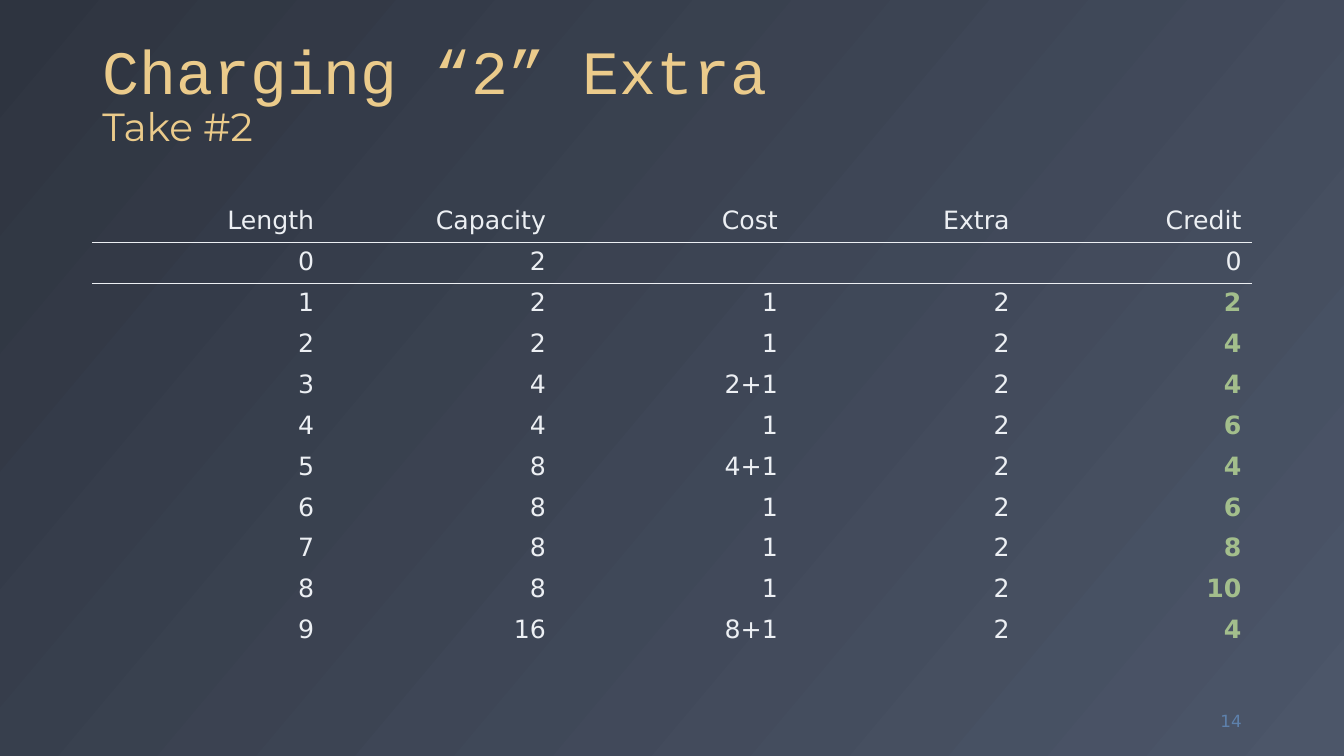
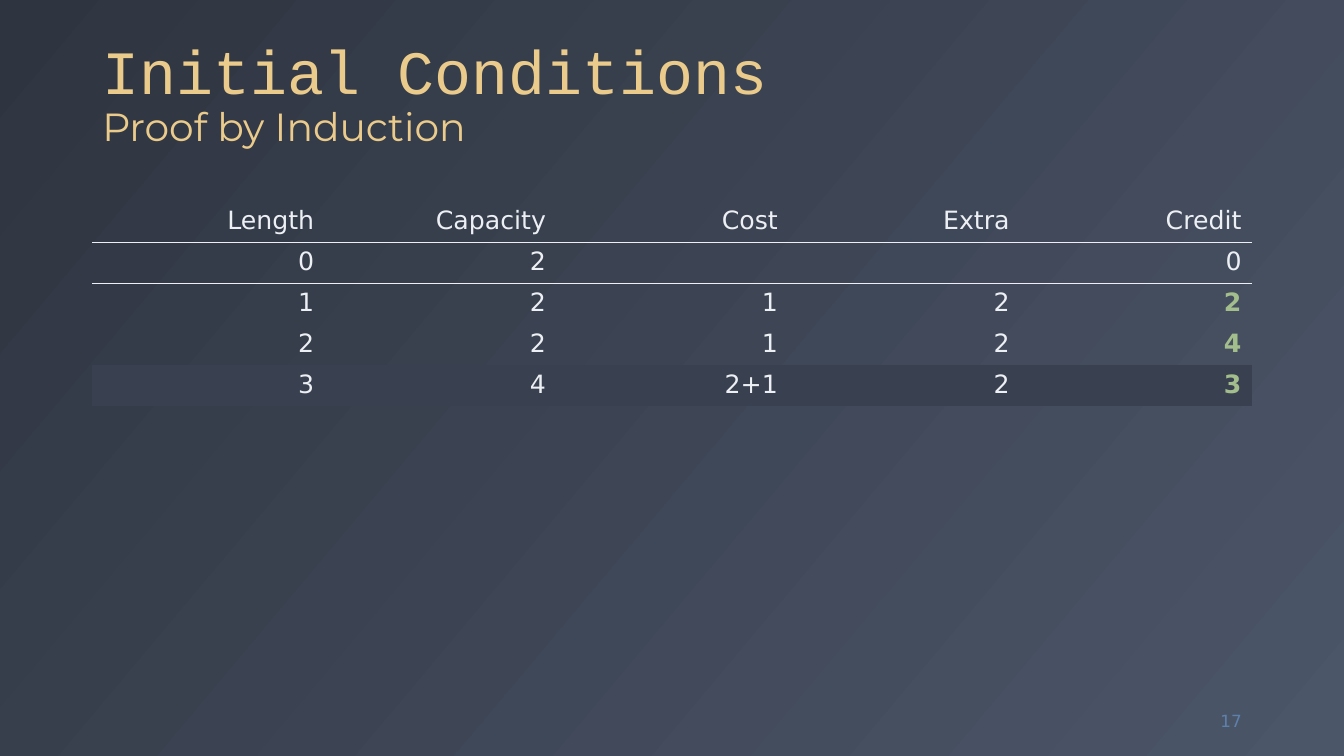
from dataclasses import dataclass

from lxml.etree import SubElement
from pptx import Presentation
from pptx.dml.color import RGBColor
from pptx.enum.text import MSO_ANCHOR, PP_ALIGN
from pptx.oxml.ns import qn
from pptx.util import Pt


@dataclass(frozen=True)
class Theme:
    bg_start: str = "2E3440"
    bg_end: str = "4C5669"
    title: str = "EBCB8B"
    text: str = "ECEFF3"
    credit: str = "A3BE8C"
    highlight: str = "39404F"
    number: str = "5E81AC"
    title_font: str = "Courier New"
    subtitle_font: str = "Montserrat"
    body_font: str = "DejaVu Sans"
    title_size: int = 44
    subtitle_size: int = 28
    body_size: int = 18
    number_size: int = 12


THEME = Theme()
NO_GRID_STYLE = "{2D5ABB26-0587-4C30-8999-92F81FD0307C}"
TABLE_ROWS = 11

# Regions: left, top, width, height in points
TITLE_BOX = (66, 13, 828, 98)
TABLE_BOX = (66, 144, 828, 321.2)
NUMBER_BOX = (834, 500, 60, 29)

HEADER = ("Length", "Capacity", "Cost", "Extra", "Credit")
OPERATIONS = [
    ("0", "2", "", "", "0"),
    ("1", "2", "1", "2", "2"),
    ("2", "2", "1", "2", "4"),
    ("3", "4", "2+1", "2", "4"),
    ("4", "4", "1", "2", "6"),
    ("5", "8", "4+1", "2", "4"),
    ("6", "8", "1", "2", "6"),
    ("7", "8", "1", "2", "8"),
    ("8", "8", "1", "2", "10"),
    ("9", "16", "8+1", "2", "4"),
]
INDUCTION_STEP = ("3", "4", "2+1", "2", "3")


def style_run(r, font, size, color, bold=False):
    r.font.name = font
    r.font.size = Pt(size)
    r.font.bold = bold
    r.font.color.rgb = RGBColor.from_string(color)


def add_text(s, box, text, anchor, align=PP_ALIGN.LEFT):
    tf = s.shapes.add_textbox(*map(Pt, box)).text_frame
    tf.word_wrap = True
    tf.vertical_anchor = anchor
    p = tf.paragraphs[0]
    p.text = text
    p.alignment = align
    return p


def add_background(s):
    fill = s.background.fill
    fill.gradient()
    fill.gradient_angle = 320
    for stop, color in zip(fill.gradient_stops, (THEME.bg_start, THEME.bg_end)):
        stop.color.rgb = RGBColor.from_string(color)


def add_title(s, box, title, subtitle):
    p = add_text(s, box, f"{title}\v{subtitle}", MSO_ANCHOR.BOTTOM)
    p.line_spacing = 0.9
    first, second = p.runs
    style_run(first, THEME.title_font, THEME.title_size, THEME.title)
    style_run(second, THEME.subtitle_font, THEME.subtitle_size, THEME.title)


def add_number(s, box, number):
    p = add_text(s, box, str(number), MSO_ANCHOR.MIDDLE, PP_ALIGN.RIGHT)
    style_run(p.runs[0], THEME.body_font, THEME.number_size, THEME.number)


def add_border(cell, side):
    ln = SubElement(cell._tc.get_or_add_tcPr(), qn(f"a:{side}"), w=str(Pt(0.75)))
    SubElement(SubElement(ln, qn("a:solidFill")), qn("a:srgbClr"), val=THEME.text)


def fill_cell(cell, text, color, bold, highlighted):
    p = cell.text_frame.paragraphs[0]
    p.text = text
    p.alignment = PP_ALIGN.RIGHT
    for r in p.runs:
        style_run(r, THEME.body_font, THEME.body_size, color, bold)
    if highlighted:
        cell.fill.solid()
        cell.fill.fore_color.rgb = RGBColor.from_string(THEME.highlight)
    else:
        cell.fill.background()


def add_credit_table(s, box, operations, highlight=None):
    left, top, width, height = box
    table = s.shapes.add_table(TABLE_ROWS, len(HEADER), *map(Pt, box)).table
    table.first_row = table.horz_banding = False
    table._tbl.tblPr.find(qn("a:tableStyleId")).text = NO_GRID_STYLE
    for column in table.columns:
        column.width = Pt(width / len(HEADER))
    for row in table.rows:
        row.height = Pt(height / TABLE_ROWS)

    # Rows without an operation stay empty
    blanks = [("",) * len(HEADER)] * (TABLE_ROWS - 1 - len(operations))
    for i, values in enumerate([HEADER, *operations, *blanks]):
        for j, value in enumerate(values):
            cell = table.cell(i, j)
            # The rule under the header
            if i < 2:
                add_border(cell, ("lnB", "lnT")[i])
            earned = i > 1 and j == len(HEADER) - 1
            color = THEME.credit if earned else THEME.text
            fill_cell(cell, value, color, earned, i == highlight)


def add_table_slide(prs, title, subtitle, number, operations, highlight=None):
    s = prs.slides.add_slide(prs.slide_layouts[6])
    add_background(s)
    add_title(s, TITLE_BOX, title, subtitle)
    add_number(s, NUMBER_BOX, number)
    add_credit_table(s, TABLE_BOX, operations, highlight)


def main():
    prs = Presentation()
    prs.slide_width, prs.slide_height = Pt(960), Pt(540)
    add_table_slide(prs, "Charging “2” Extra", "Take #2", 14, OPERATIONS)
    add_table_slide(prs, "Initial Conditions", "Proof by Induction", 17,
                    OPERATIONS[:3] + [INDUCTION_STEP], highlight=4)
    prs.save("out.pptx")


if __name__ == "__main__":
    main()
